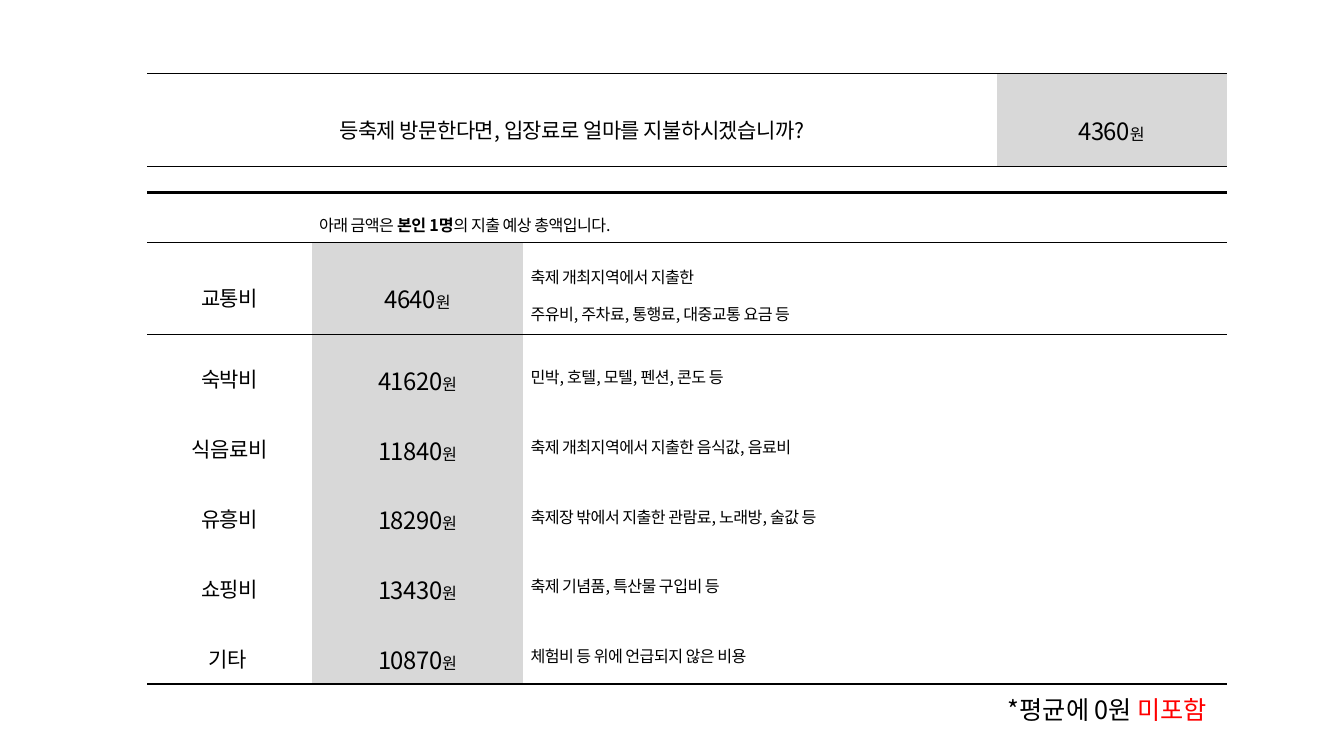
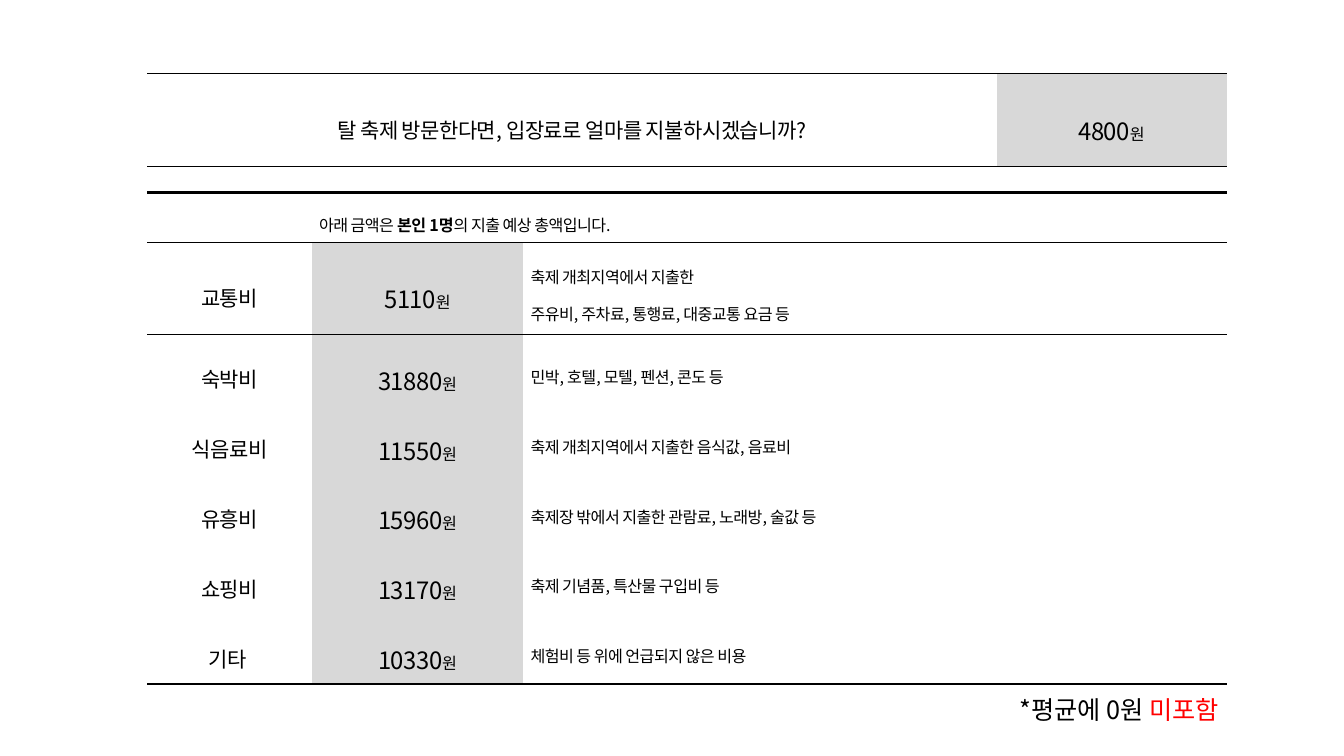
from lxml import etree
from pptx import Presentation
from pptx.dml.color import RGBColor
from pptx.enum.text import MSO_ANCHOR, MSO_AUTO_SIZE, PP_ALIGN
from pptx.oxml.ns import qn
from pptx.util import Cm, Pt

MIDDLE = MSO_ANCHOR.MIDDLE
GROW = MSO_AUTO_SIZE.SHAPE_TO_FIT_TEXT
CENTER, JUSTIFY = PP_ALIGN.CENTER, PP_ALIGN.JUSTIFY

FONT = "Noto Sans CJK KR"
BLACK, RED, GREY = "000000", "FF0000", "D8D8D8"
SMALL, LABEL, VALUE, NOTE = 11.5, 15, 17, 18
THICK, PLAIN, THIN = 1.7, 1, 0.28
PLAIN_STYLE = "{2D5ABB26-0587-4C30-8999-92F81FD0307C}"
LEFT = 3.71

COSTS = [
    ("교통비", ["축제 개최지역에서 지출한", "주유비, 주차료, 통행료, 대중교통 요금 등"]),
    ("숙박비", ["민박, 호텔, 모텔, 펜션, 콘도 등"]),
    ("식음료비", ["축제 개최지역에서 지출한 음식값, 음료비"]),
    ("유흥비", ["축제장 밖에서 지출한 관람료, 노래방, 술값 등"]),
    ("쇼핑비", ["축제 기념품, 특산물 구입비 등"]),
    ("기타 ", ["체험비 등 위에 언급되지 않은 비용"]),
]
SLIDES = [
    ("등축제 방문한다면, 입장료로 얼마를 지불하시겠습니까?", 4360,
     [4640, 41620, 11840, 18290, 13430, 10870], 25.15),
    ("탈 축제 방문한다면, 입장료로 얼마를 지불하시겠습니까?", 4800,
     [5110, 31880, 11550, 15960, 13170, 10330], 25.45),
]


def color(code):
    """Turn a hex string into a colour."""
    return RGBColor.from_string(code)


def add_run(para, text, size, bold=False, ink=BLACK, space=None):
    """Add one formatted run to a paragraph."""
    run = para.add_run()
    run.text = text
    font = run.font
    font.size, font.bold, font.name = Pt(size), bold, FONT
    font.color.rgb = color(ink)
    props = run._r.get_or_add_rPr()
    etree.SubElement(props, qn("a:ea")).set("typeface", FONT)
    if space is not None:
        props.set("spc", str(space))


def write_cell(cell, lines, align):
    """Write lines of (text, size, bold) runs into a cell."""
    frame = cell.text_frame
    for num, line in enumerate(lines):
        para = frame.add_paragraph() if num else frame.paragraphs[0]
        para.alignment, para.line_spacing = align, 1.6
        for part in line:
            add_run(para, *part, space=-40)


def write_price(cell, price):
    """Write an amount in won on a grey cell."""
    write_cell(cell, [[(str(price), VALUE), ("원", SMALL)]], CENTER)
    cell.fill.solid()
    cell.fill.fore_color.rgb = color(GREY)


def rule_row(table, row, side, width):
    """Draw a black rule along the top or bottom of a row."""
    for cell in table.rows[row].cells:
        props = cell._tc.get_or_add_tcPr()
        line = etree.Element(qn("a:ln" + side), w=str(Pt(width)))
        fill = etree.SubElement(line, qn("a:solidFill"))
        etree.SubElement(fill, qn("a:srgbClr")).set("val", BLACK)
        props.insert(len(props.findall(qn("a:lnT"))), line)


def add_grid(slide, top, cols, rows):
    """Add a plain table with the given column and row sizes."""
    shape = slide.shapes.add_table(len(rows), len(cols), Cm(LEFT), Cm(top),
                                   Cm(sum(cols)), Cm(sum(rows)))
    table = shape.table
    table.first_row = table.horz_banding = False
    for style in shape._element.iter(qn("a:tableStyleId")):
        style.text = PLAIN_STYLE
    for col, width in zip(table.columns, cols):
        col.width = Cm(width)
    for row, height in zip(table.rows, rows):
        row.height = Cm(height)
    for cell in table.iter_cells():
        cell.vertical_anchor = MIDDLE
        cell.margin_left = cell.margin_right = Cm(0.18)
        cell.margin_top = cell.margin_bottom = Cm(0.05)
        cell.fill.background()
    return table


def add_costs(slide, prices):
    """Add the table of expected spending by kind."""
    table = add_grid(slide, 4.85, [4.15, 5.33, 17.72],
                     [1.24, 2.34] + [1.76] * 5)
    table.cell(0, 1).merge(table.cell(0, 2))
    write_cell(table.cell(0, 1), [[("아래 금액은 ", SMALL),
                                   ("본인 1명", SMALL, True),
                                   ("의 지출 예상 총액입니다. ", SMALL)]], JUSTIFY)
    for row, ((name, hints), price) in enumerate(zip(COSTS, prices), 1):
        write_cell(table.cell(row, 0), [[(name, LABEL)]], CENTER)
        write_price(table.cell(row, 1), price)
        write_cell(table.cell(row, 2), [[(hint, SMALL)] for hint in hints],
                   JUSTIFY)
    rule_row(table, 0, "T", THICK)
    rule_row(table, 0, "B", THIN)
    rule_row(table, 1, "T", THIN)
    rule_row(table, len(COSTS), "B", THICK)


def add_entry(slide, question, price):
    """Add the entry fee question and its answer."""
    table = add_grid(slide, 1.85, [21.41, 5.79], [2.34])
    write_cell(table.cell(0, 0), [[(question, LABEL)]], CENTER)
    write_price(table.cell(0, 1), price)
    rule_row(table, 0, "T", PLAIN)
    rule_row(table, 0, "B", PLAIN)


def add_note(slide, left):
    """Add the note on how the mean was taken."""
    box = slide.shapes.add_textbox(Cm(left), Cm(17.37), Cm(6.07), Cm(1.02))
    frame = box.text_frame
    frame.word_wrap, frame.auto_size = False, GROW
    para = frame.paragraphs[0]
    add_run(para, "*평균에 0원 ", NOTE)
    add_run(para, "미포함", NOTE, ink=RED)


def main():
    """Build and save the slides."""
    deck = Presentation()
    deck.slide_width, deck.slide_height = Cm(33.87), Cm(19.05)
    for question, fee, prices, left in SLIDES:
        slide = deck.slides.add_slide(deck.slide_layouts[6])
        add_costs(slide, prices)
        add_entry(slide, question, fee)
        add_note(slide, left)
    deck.save("out.pptx")


main()
